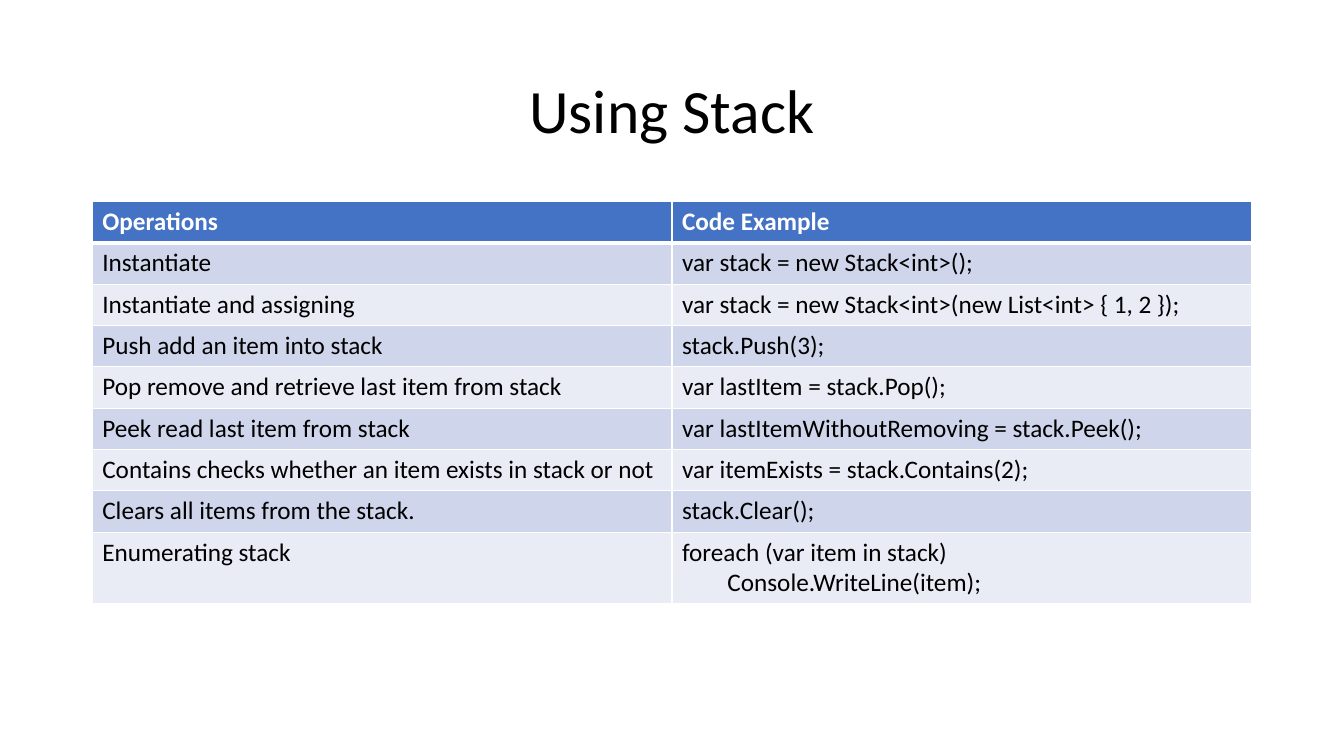
import dataclasses
import typing

import pptx
import pptx.dml.color
import pptx.enum.text
import pptx.oxml.ns
import pptx.util
from lxml import etree

SLIDE_W, SLIDE_H = 13.33, 7.5
COL, ROW = 5.75, 0.41
LEFT = (SLIDE_W - 2 * COL) / 2
TITLE_TOP, TITLE_H = 0.4, 1.45
TABLE_TOP = 2
LAST_ROW = 0.66
CODE_INDENT = 0.45
FONT = "Calibri"
BLACK, WHITE, BLUE = "000000", "FFFFFF", "4472C4"
BANDS = ("CFD5EA", "E9EBF5")
THIN, THICK = 1, 3


@dataclasses.dataclass(frozen=True)
class Operation:
    name: str
    code: tuple[str, ...]


HEADER = Operation("Operations", ("Code Example",))
OPERATIONS = (
    Operation("Instantiate", ("var stack = new Stack<int>();",)),
    Operation("Instantiate and assigning",
              ("var stack = new Stack<int>(new List<int> { 1, 2 });",)),
    Operation("Push add an item into stack", ("stack.Push(3);",)),
    Operation("Pop remove and retrieve last item from stack",
              ("var lastItem = stack.Pop();",)),
    Operation("Peek read last item from stack",
              ("var lastItemWithoutRemoving = stack.Peek();",)),
    Operation("Contains checks whether an item exists in stack or not",
              ("var itemExists = stack.Contains(2);",)),
    Operation("Clears all items from the stack.", ("stack.Clear();",)),
    Operation("Enumerating stack",
              ("foreach (var item in stack)", "Console.WriteLine(item);")),
)


def rgb(color: str) -> pptx.dml.color.RGBColor:
    return pptx.dml.color.RGBColor.from_string(color)


def write(tf: typing.Any, lines: tuple[str, ...], *, size: float = 18,
          color: str = BLACK, bold: bool = False,
          align: typing.Any = pptx.enum.text.PP_ALIGN.LEFT,
          spacing: float = 1.0) -> None:
    """Write one paragraph per line, indenting those after the first."""
    for i, line in enumerate(lines):
        p = tf.add_paragraph() if i else tf.paragraphs[0]
        p.alignment, p.line_spacing = align, spacing
        if i:
            p._p.get_or_add_pPr().set("marL", str(pptx.util.Inches(CODE_INDENT)))
        r = p.add_run()
        r.text = line
        r.font.name, r.font.size, r.font.bold = FONT, pptx.util.Pt(size), bold
        r.font.color.rgb = rgb(color)


def set_borders(cell: typing.Any, top: float, bottom: float) -> None:
    """Put white borders ahead of the cell's fill, as the schema orders them."""
    tc_pr = cell._tc.get_or_add_tcPr()
    qn = pptx.oxml.ns.qn
    sides = (("a:lnL", THIN), ("a:lnR", THIN), ("a:lnT", top), ("a:lnB", bottom))
    for i, (tag, width) in enumerate(sides):
        ln = etree.Element(qn(tag), w=str(pptx.util.Pt(width)))
        fill = etree.SubElement(ln, qn("a:solidFill"))
        etree.SubElement(fill, qn("a:srgbClr"), val=WHITE)
        tc_pr.insert(i, ln)


def add_title(slide: typing.Any, text: str) -> None:
    sp = slide.shapes.title
    sp.left, sp.top = pptx.util.Inches(LEFT), pptx.util.Inches(TITLE_TOP)
    sp.width, sp.height = pptx.util.Inches(2 * COL), pptx.util.Inches(TITLE_H)
    sp.text_frame.vertical_anchor = pptx.enum.text.MSO_ANCHOR.MIDDLE
    write(sp.text_frame, (text,), size=44, spacing=0.9,
          align=pptx.enum.text.PP_ALIGN.CENTER)


def add_operations(slide: typing.Any) -> None:
    rows = (HEADER, *OPERATIONS)
    height = ROW * len(OPERATIONS) + LAST_ROW
    table = slide.shapes.add_table(
        len(rows), 2, pptx.util.Inches(LEFT), pptx.util.Inches(TABLE_TOP),
        pptx.util.Inches(2 * COL), pptx.util.Inches(height)).table
    for column in table.columns:
        column.width = pptx.util.Inches(COL)
    for i, operation in enumerate(rows):
        is_header = i == 0
        is_last = i == len(rows) - 1
        table.rows[i].height = pptx.util.Inches(LAST_ROW if is_last else ROW)
        for j, lines in enumerate(((operation.name,), operation.code)):
            cell = table.cell(i, j)
            cell.fill.solid()
            cell.fill.fore_color.rgb = rgb(BLUE if is_header else BANDS[(i - 1) % 2])
            set_borders(cell, top=THICK if i == 1 else THIN,
                        bottom=THICK if is_header else THIN)
            write(cell.text_frame, lines, bold=is_header,
                  color=WHITE if is_header else BLACK)


def main() -> None:
    prs = pptx.Presentation()
    prs.slide_width = pptx.util.Inches(SLIDE_W)
    prs.slide_height = pptx.util.Inches(SLIDE_H)
    slide = prs.slides.add_slide(prs.slide_layouts[5])
    add_title(slide, "Using Stack")
    add_operations(slide)
    prs.save("out.pptx")


if __name__ == "__main__":
    main()
